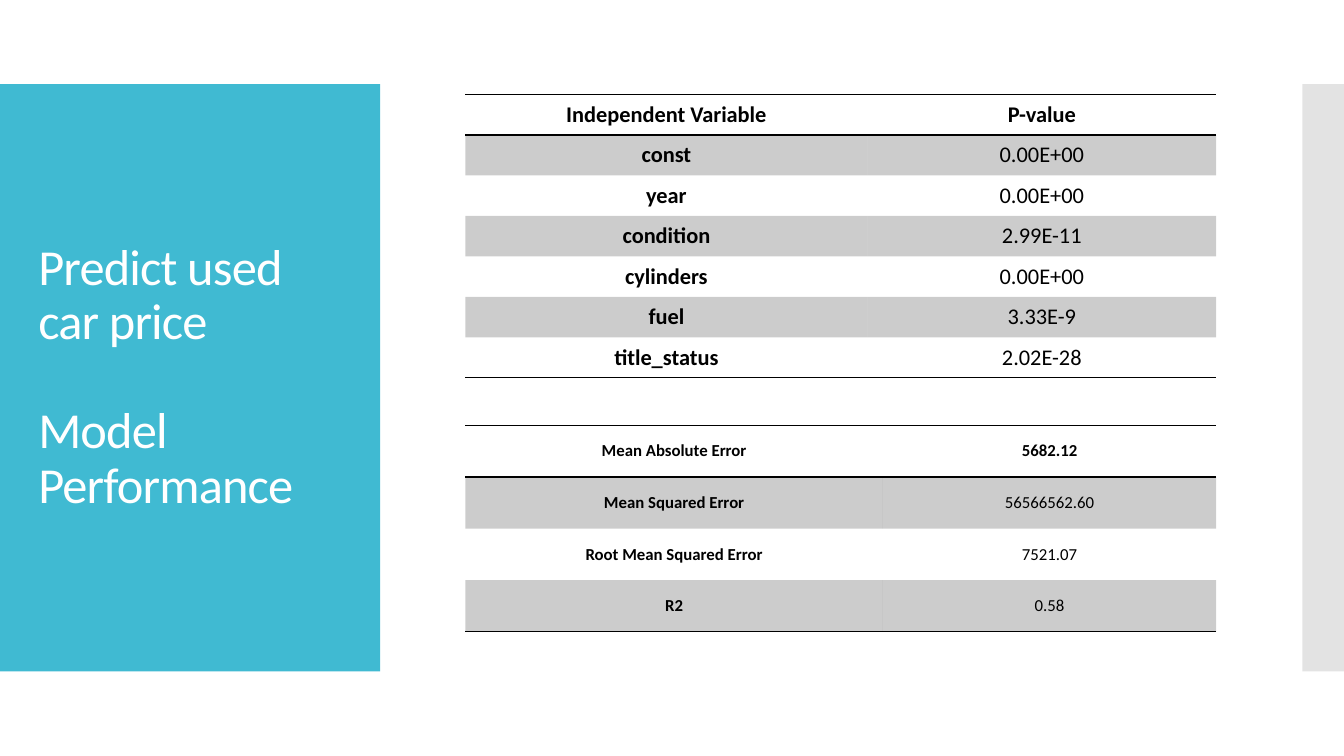
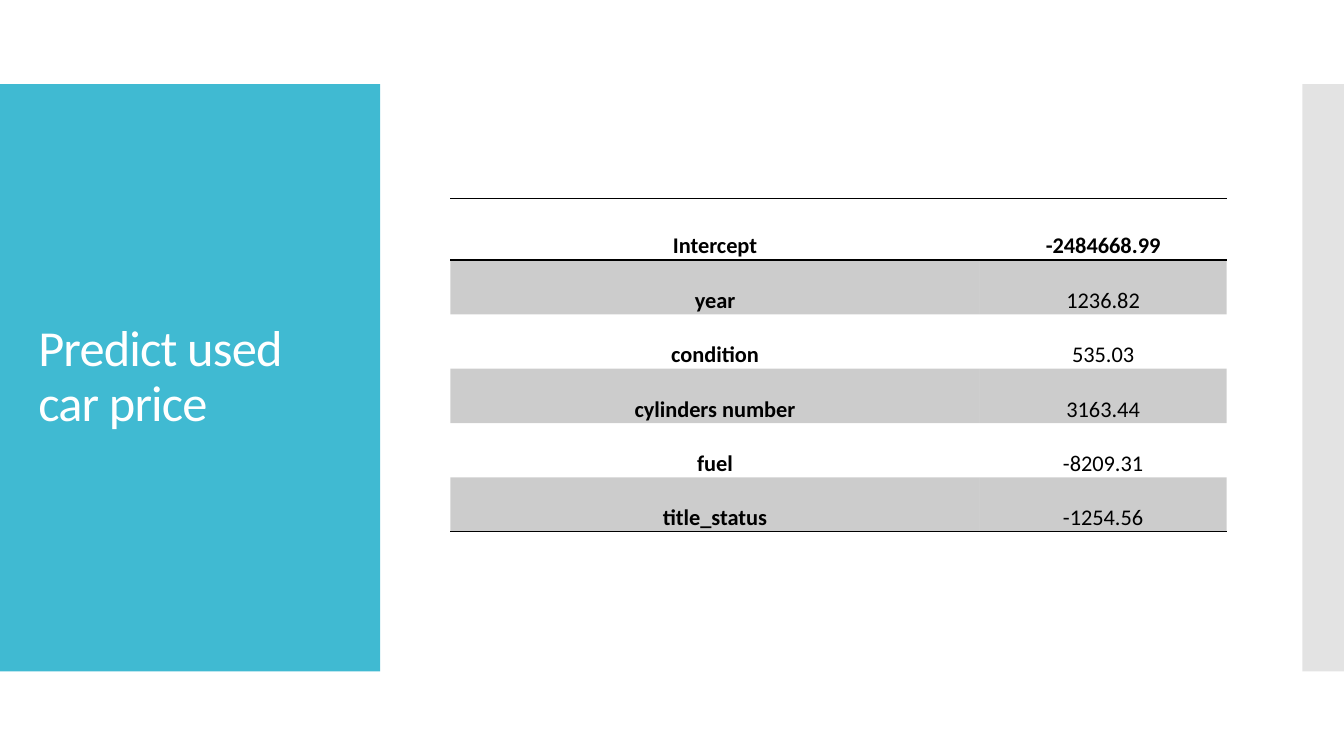
import pptx
import pptx.dml.color
import pptx.enum.shapes
import pptx.enum.text
import pptx.oxml
import pptx.oxml.ns
import pptx.util

Cm = pptx.util.Cm
Pt = pptx.util.Pt
ANCHOR = pptx.enum.text.MSO_ANCHOR
ALIGN = pptx.enum.text.PP_ALIGN
qn = pptx.oxml.ns.qn

COLORS = {"panel": "40BAD2", "edge": "C8C8C8", "ink": "000000", "title": "FFFFFF"}
FONT = "Calibri"
PLAIN_TABLE = "{2D5ABB26-0587-4C30-8999-92F81FD0307C}"

PANEL_BOX = (0, 2.12, 9.58, 14.8)
EDGE_BOX = (32.82, 2.12, 1.05, 14.8)
TITLE_INSET = (0.71, 1)
TITLE_FRAME = {
    "word_wrap": True,
    "auto_size": pptx.enum.text.MSO_AUTO_SIZE.NONE,
    "vertical_anchor": ANCHOR.MIDDLE,
}
TITLE_LINE = {"alignment": ALIGN.LEFT, "line_spacing": 0.9}
CELL_MARGINS = {
    "margin_left": Cm(0.18),
    "margin_right": Cm(0.18),
    "margin_top": 0,
    "margin_bottom": 0,
}
CELL_LINE = {"alignment": ALIGN.CENTER, "space_before": Pt(12)}

P_VALUES = [
    ("Independent Variable", "P-value"),
    ("const", "0.00E+00"),
    ("year", "0.00E+00"),
    ("condition", "2.99E-11"),
    ("cylinders", "0.00E+00"),
    ("fuel", "3.33E-9"),
    ("title_status", "2.02E-28"),
]
ERRORS = [
    ("Mean Absolute Error", "5682.12"),
    ("Mean Squared Error", "56566562.60"),
    ("Root Mean Squared Error", "7521.07"),
    ("R2", "0.58"),
]
COEFFICIENTS = [
    ("Intercept", "-2484668.99"),
    ("year", "1236.82"),
    ("condition", "535.03"),
    ("cylinders number", "3163.44"),
    ("fuel", "-8209.31"),
    ("title_status", "-1254.56"),
]


def apply(target, formats):
    """Set every attribute named in formats on target."""
    for name, value in formats.items():
        setattr(target, name, value)


def rgb(name):
    """Return the palette colour called name."""
    return pptx.dml.color.RGBColor.from_string(COLORS[name])


def style_font(font, size, color, bold=False):
    """Give a font the deck's typeface with a size, colour and weight."""
    apply(font, {"name": FONT, "size": Pt(size), "bold": bold})
    font.color.rgb = rgb(color)


def fill_solid(fill, element, color, opacity=100):
    """Fill with a palette colour at an opacity in percent."""
    fill.solid()
    fill.fore_color.rgb = rgb(color)
    if opacity < 100:
        for swatch in element.iter(qn("a:srgbClr")):
            alpha = pptx.oxml.parse_xml(
                f'<a:alpha {pptx.oxml.ns.nsdecls("a")} val="{opacity * 1000}"/>'
            )
            swatch.append(alpha)


def add_rules(tc, sides):
    """Draw one-point rules on the given sides of a table cell."""
    for index, side in enumerate(sides):
        rule = pptx.oxml.parse_xml(
            f'<a:ln{side} {pptx.oxml.ns.nsdecls("a")} w="12700">'
            f'<a:solidFill><a:srgbClr val="{COLORS["ink"]}"/></a:solidFill>'
            f"</a:ln{side}>"
        )
        tc.get_or_add_tcPr().insert(index, rule)


def add_band(slide, box, color, opacity=100):
    """Place a colour band behind the slide title."""
    band = slide.shapes.add_shape(
        pptx.enum.shapes.MSO_SHAPE.RECTANGLE, *map(Cm, box)
    )
    band.shadow.inherit = False
    band.line.fill.background()
    fill_solid(band.fill, band.element.spPr, color, opacity)
    slide.shapes.title.element.addprevious(band.element)


def add_title(slide, box, lines):
    """Write the title lines inside the panel box."""
    left, top, width, height = box
    inset_x, inset_y = TITLE_INSET
    title = slide.shapes.title
    apply(title, {
        "left": Cm(left + inset_x),
        "top": Cm(top + inset_y),
        "width": Cm(8.18),
        "height": Cm(height - 2 * inset_y),
    })
    frame = title.text_frame
    apply(frame, TITLE_FRAME)
    frame.text = "\n".join(lines)
    for index, line in enumerate(frame.paragraphs):
        apply(line, TITLE_LINE)
        line.space_before = Pt(39 if index else 0)
        style_font(line.runs[0].font, 36, "title")
    for properties in title.element.iter(qn("a:rPr")):
        properties.set("spc", "-60")


def add_results(slide, origin, columns, heights, rows, size, anchor):
    """Place a ruled, striped table with its first row as header."""
    header_height, row_height = heights
    total = header_height + row_height * (len(rows) - 1)
    frame = slide.shapes.add_table(
        len(rows), len(columns), *map(Cm, (*origin, sum(columns), total))
    )
    results = frame.table
    apply(results, {"first_row": False, "horz_banding": False})
    for style in frame.element.iter(qn("a:tableStyleId")):
        style.text = PLAIN_TABLE
    for column, width in zip(results.columns, columns):
        column.width = Cm(width)
    for index, row in enumerate(results.rows):
        row.height = Cm(row_height if index else header_height)

    for index, (cell, tc) in enumerate(
        zip(results.iter_cells(), frame.element.iter(qn("a:tc")))
    ):
        row, column = divmod(index, len(columns))
        apply(cell, CELL_MARGINS)
        cell.vertical_anchor = anchor
        cell.text = rows[row][column]
        line = cell.text_frame.paragraphs[0]
        apply(line, CELL_LINE)
        style_font(line.runs[0].font, size, "ink", row == 0 or column == 0)
        if row % 2:
            fill_solid(cell.fill, tc.get_or_add_tcPr(), "ink", 20)
        else:
            cell.fill.background()
        if row == 0:
            add_rules(tc, "TB")
        elif row == len(rows) - 1:
            add_rules(tc, "B")


def add_panel_slide(deck, title_lines):
    """Add a slide with the title panel and the edge band."""
    slide = deck.slides.add_slide(deck.slide_layouts.get_by_name("Title Only"))
    add_band(slide, PANEL_BOX, "panel")
    add_band(slide, EDGE_BOX, "edge", 50)
    add_title(slide, PANEL_BOX, title_lines)
    return slide


def main():
    """Build and save the deck."""
    deck = pptx.Presentation()
    apply(deck, {"slide_width": Cm(33.87), "slide_height": Cm(19.05)})

    performance = add_panel_slide(
        deck, ["Predict used car price", "Model Performance"]
    )
    add_results(performance, (11.73, 2.38), (10.13, 8.79), (1.02, 1.02),
                P_VALUES, 16, ANCHOR.MIDDLE)
    add_results(performance, (11.73, 10.72), (10.52, 8.4), (1.3, 1.3),
                ERRORS, 12, ANCHOR.MIDDLE)

    prediction = add_panel_slide(deck, ["Predict used car price"])
    add_results(prediction, (11.35, 5), (13.34, 6.22), (1.55, 1.37),
                COEFFICIENTS, 16, ANCHOR.BOTTOM)

    deck.save("out.pptx")


if __name__ == "__main__":
    main()
